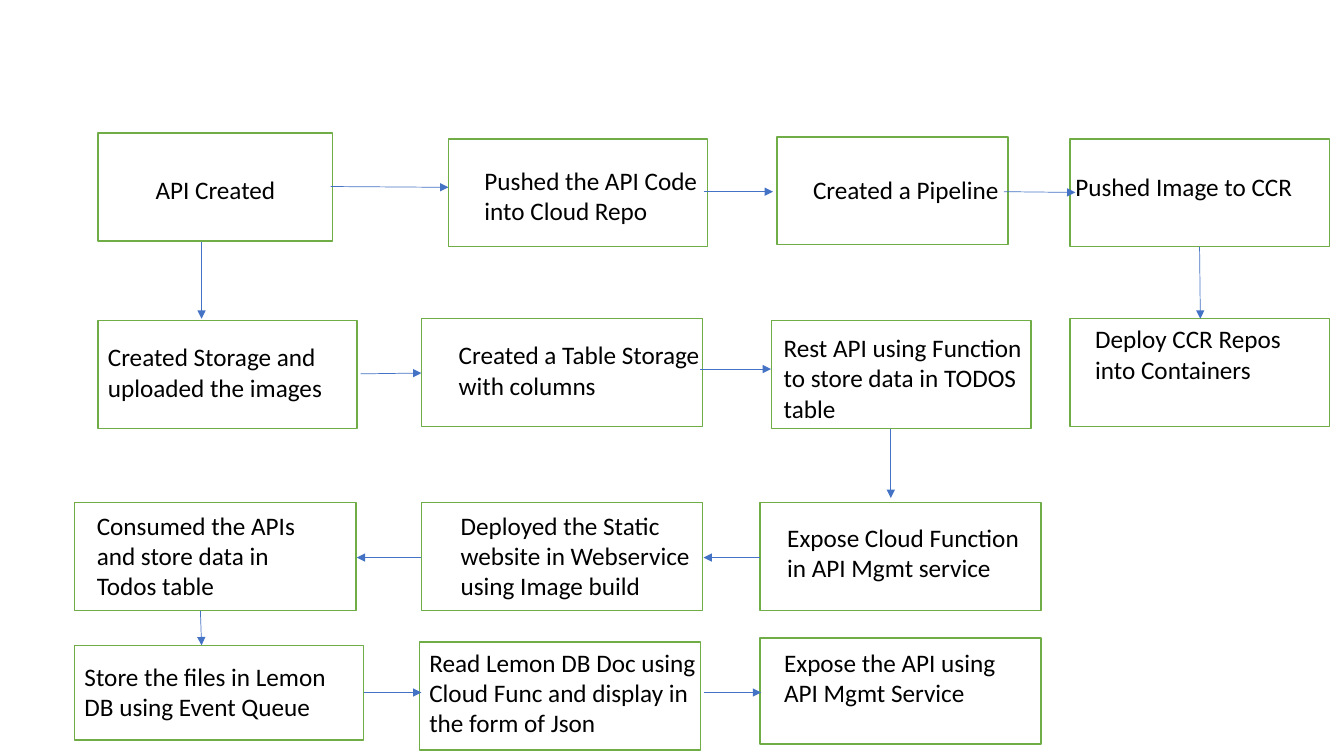
"""Build a one-slide flow chart of an API deployment."""
from lxml import etree
from pptx import Presentation
from pptx.dml.color import RGBColor
from pptx.enum.shapes import MSO_CONNECTOR, MSO_SHAPE
from pptx.enum.text import MSO_ANCHOR, PP_ALIGN
from pptx.oxml.ns import qn
from pptx.util import Cm, Pt

RECTANGLE = MSO_SHAPE.RECTANGLE
STRAIGHT = MSO_CONNECTOR.STRAIGHT
TOP = MSO_ANCHOR.TOP
LEFT = PP_ALIGN.LEFT

NARROW, STANDARD, WIDE = 5.82, 6.53, 7.09
HEIGHT = 2.72

# Label, (left, top, width, height), (left, top, right) text insets, all in cm
STEPS = [
    ("API Created", (2.47, 3.35, 5.91, HEIGHT), (1.45, 1.04, 0)),
    ("Pushed the API Code into Cloud Repo",
     (11.3, 3.5, STANDARD, HEIGHT), (0.91, 0.66, 0)),
    ("Created a Pipeline", (19.58, 3.45, NARROW, HEIGHT), (0.91, 0.94, 0)),
    ("Pushed Image to CCR", (26.97, 3.5, STANDARD, HEIGHT), (0.13, 0.81, 0)),
    ("Created Storage and uploaded the images",
     (2.47, 8.08, STANDARD, HEIGHT), (0.25, 0.53, 0)),
    ("Created a Table Storage with columns",
     (10.62, 8.03, WIDE, HEIGHT), (0.94, 0.53, 0)),
    ("Rest API using Function to store data in TODOS table",
     (19.45, 8.08, STANDARD, HEIGHT), (0.3, 0.3, 0)),
    ("Deploy CCR Repos into Containers",
     (26.97, 8.03, STANDARD, HEIGHT), (0.63, 0.13, 0.7)),
    ("Consumed the APIs and store data in Todos table",
     (1.88, 12.67, WIDE, HEIGHT), (0.56, 0.18, 0.7)),
    ("Deployed the Static website in Webservice using Image build",
     (10.62, 12.67, WIDE, HEIGHT), (0.99, 0.18, 0)),
    ("Expose Cloud Function in API Mgmt service",
     (19.15, 12.67, WIDE, HEIGHT), (0.69, 0.48, 0.4)),
    ("Store the files in Lemon DB using Event Queue",
     (1.88, 16.26, 7.29, 2.39), (0.25, 0.41, 0.7)),
    ("Read Lemon DB Doc using Cloud Func and display in the form of Json",
     (10.57, 16.18, WIDE, HEIGHT), (0.25, 0.13, 0)),
    ("Expose the API using API Mgmt Service",
     (19.15, 16.08, WIDE, 2.67), (0.61, 0.23, 0.4)),
]

# Start x, start y, end x, end y in cm
ARROWS = [
    (8.33, 4.7, 11.3, 4.72), (17.73, 4.83, 19.48, 4.83),
    (25.3, 4.83, 27.1, 4.85), (5.08, 6.1, 5.08, 8.03),
    (30.23, 6.22, 30.25, 8.03), (9.09, 9.42, 10.62, 9.4),
    (17.65, 9.3, 19.43, 9.3), (22.45, 10.8, 22.45, 12.55),
    (19.15, 14.05, 17.73, 14.05), (10.62, 14.05, 8.99, 14.05),
    (5.05, 15.39, 5.08, 16.26), (9.17, 17.45, 10.62, 17.45),
    (17.73, 17.45, 19.18, 17.45),
]


def color(value):
    """Return the colour for a hex string."""
    return RGBColor.from_string(value)


def write(frame, text, font="Calibri", size=18, ink="000000", align=LEFT):
    """Write text into a frame with the given format."""
    para = frame.paragraphs[0]
    para.alignment = align
    span = para.add_run()
    span.text = text
    span.font.name = font
    span.font.size = Pt(size)
    span.font.color.rgb = color(ink)


class FlowChart:
    """Hold the style and the current slide."""

    fill, border, arrow_color = "FFFFFF", "70AD47", "4472C4"
    border_width, arrow_width = 1, 0.5

    def __init__(self, page):
        """Keep the slide to draw on."""
        self.page = page

    def step(self, label, bounds, insets):
        """Add a bordered box with its label."""
        box = self.page.shapes.add_shape(RECTANGLE, *map(Cm, bounds))
        box.shadow.inherit = False
        box.fill.solid()
        box.fill.fore_color.rgb = color(self.fill)
        box.line.color.rgb = color(self.border)
        box.line.width = Pt(self.border_width)
        frame = box.text_frame
        frame.word_wrap = True
        frame.vertical_anchor = TOP
        frame.margin_left, frame.margin_top, frame.margin_right = map(Cm, insets)
        frame.margin_bottom = 0
        write(frame, label)

    def arrow(self, *ends):
        """Add a straight arrow between two points."""
        line = self.page.shapes.add_connector(STRAIGHT, *map(Cm, ends))
        line.line.color.rgb = color(self.arrow_color)
        line.line.width = Pt(self.arrow_width)
        outline = line.line._get_or_add_ln()
        etree.SubElement(outline, qn("a:tailEnd"), type="triangle")
        etree.SubElement(line._element.spPr, qn("a:effectLst"))


def main():
    """Build and save the deck."""
    deck = Presentation()
    deck.slide_width, deck.slide_height = Cm(33.87), Cm(19.05)
    chart = FlowChart(deck.slides.add_slide(deck.slide_layouts[6]))
    for label, bounds, insets in STEPS:
        chart.step(label, bounds, insets)
    for ends in ARROWS:
        chart.arrow(*ends)
    deck.save("out.pptx")


main()
